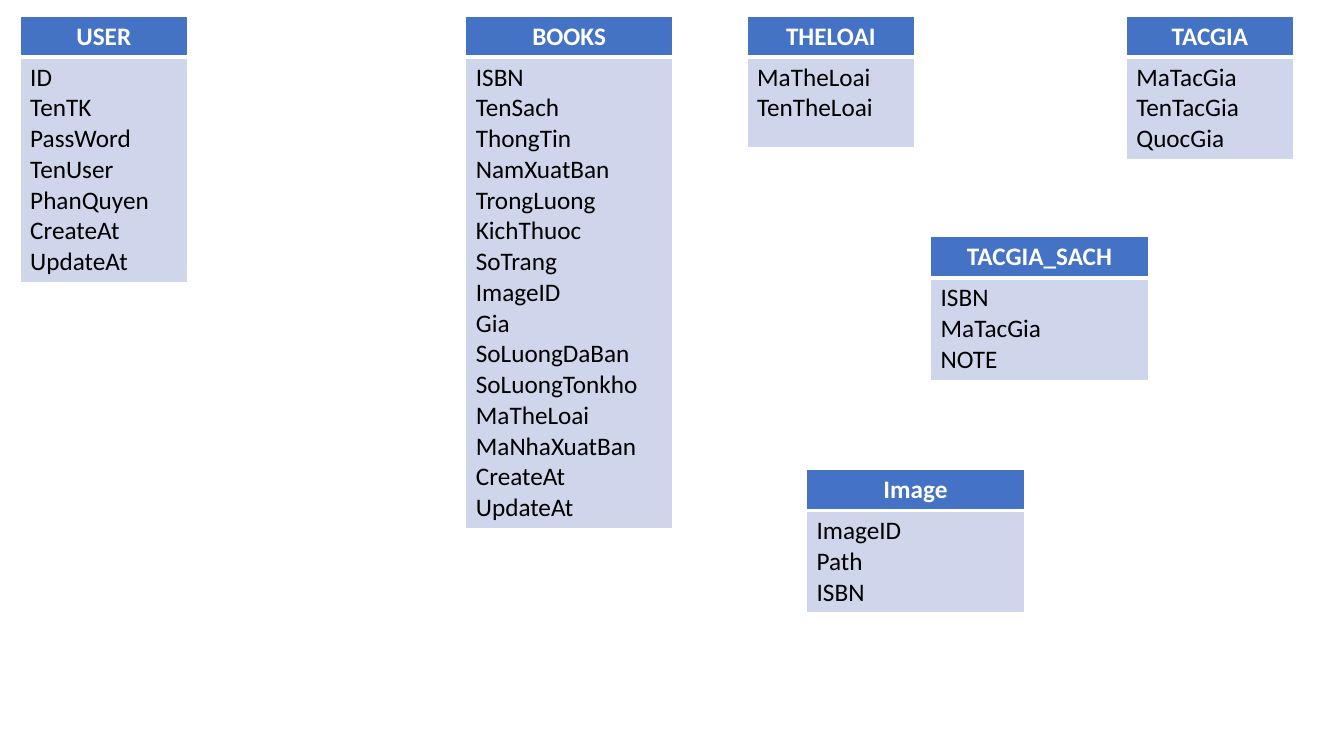
from dataclasses import dataclass

from lxml import etree
from pptx import Presentation
from pptx.dml.color import RGBColor
from pptx.enum.text import PP_ALIGN
from pptx.oxml.ns import qn
from pptx.util import Pt

CENTER, LEFT = PP_ALIGN.CENTER, PP_ALIGN.LEFT
PX = 9144  # 100 px to the inch
BLANK_LAYOUT = 6

HEADER_HEIGHT = 40
LINE_HEIGHT = 30
CELL_PADDING = 10
MIN_BODY_HEIGHT = 90


@dataclass(frozen=True)
class Theme:
    font: str = "Calibri"
    text_size: int = 18
    header_fill: str = "4472C4"
    header_text: str = "FFFFFF"
    body_fill: str = "CFD5EA"
    body_text: str = "000000"
    border: str = "FFFFFF"
    thin: int = 1
    thick: int = 3


THEME = Theme()

# name, left, top, width, fields
ENTITIES = [
    ("USER", 20, 16, 166,
     ["ID", "TenTK", "PassWord", "TenUser", "PhanQuyen", "CreateAt", "UpdateAt"]),
    ("BOOKS", 462, 16, 205,
     ["ISBN", "TenSach", "ThongTin", "NamXuatBan", "TrongLuong", "KichThuoc",
      "SoTrang", "ImageID", "Gia", "SoLuongDaBan", "SoLuongTonkho", "MaTheLoai",
      "MaNhaXuatBan", "CreateAt", "UpdateAt"]),
    ("THELOAI", 741, 16, 166, ["MaTheLoai", "TenTheLoai"]),
    ("TACGIA", 1117, 16, 166, ["MaTacGia", "TenTacGia", "QuocGia"]),
    ("TACGIA_SACH", 923, 235, 216, ["ISBN", "MaTacGia", "NOTE"]),
    ("Image", 800, 466, 216, ["ImageID", "Path", "ISBN"]),
]


def set_borders(cell, top, bottom):
    properties = cell._tc.get_or_add_tcPr()
    widths = {"a:lnL": THEME.thin, "a:lnR": THEME.thin, "a:lnT": top, "a:lnB": bottom}
    for edge, width in widths.items():
        line = etree.SubElement(properties, qn(edge), w=str(Pt(width)))
        fill = etree.SubElement(line, qn("a:solidFill"))
        etree.SubElement(fill, qn("a:srgbClr"), val=THEME.border)


def fill_cell(cell, lines, fill, color, bold, align):
    cell.fill.solid()
    cell.fill.fore_color.rgb = RGBColor.from_string(fill)
    cell.text_frame.text = "\n".join(lines)
    for paragraph in cell.text_frame.paragraphs:
        paragraph.alignment = align
        for run in paragraph.runs:
            run.font.name = THEME.font
            run.font.size = Pt(THEME.text_size)
            run.font.bold = bold
            run.font.color.rgb = RGBColor.from_string(color)


def add_entity(slide, name, left, top, width, fields):
    """Place a one-column table: the entity name above a cell listing its fields."""
    body_height = max(MIN_BODY_HEIGHT, CELL_PADDING + LINE_HEIGHT * len(fields))
    entity = slide.shapes.add_table(
        2, 1, left * PX, top * PX, width * PX, (HEADER_HEIGHT + body_height) * PX
    ).table
    entity.rows[0].height = HEADER_HEIGHT * PX
    entity.rows[1].height = body_height * PX

    header, body = entity.cell(0, 0), entity.cell(1, 0)
    set_borders(header, THEME.thin, THEME.thick)
    set_borders(body, THEME.thick, THEME.thin)
    fill_cell(header, [name], THEME.header_fill, THEME.header_text, True, CENTER)
    fill_cell(body, fields, THEME.body_fill, THEME.body_text, False, LEFT)


def main():
    deck = Presentation()
    deck.slide_width, deck.slide_height = 1333 * PX, 750 * PX
    slide = deck.slides.add_slide(deck.slide_layouts[BLANK_LAYOUT])
    for entity in ENTITIES:
        add_entity(slide, *entity)
    deck.save("out.pptx")


if __name__ == "__main__":
    main()
